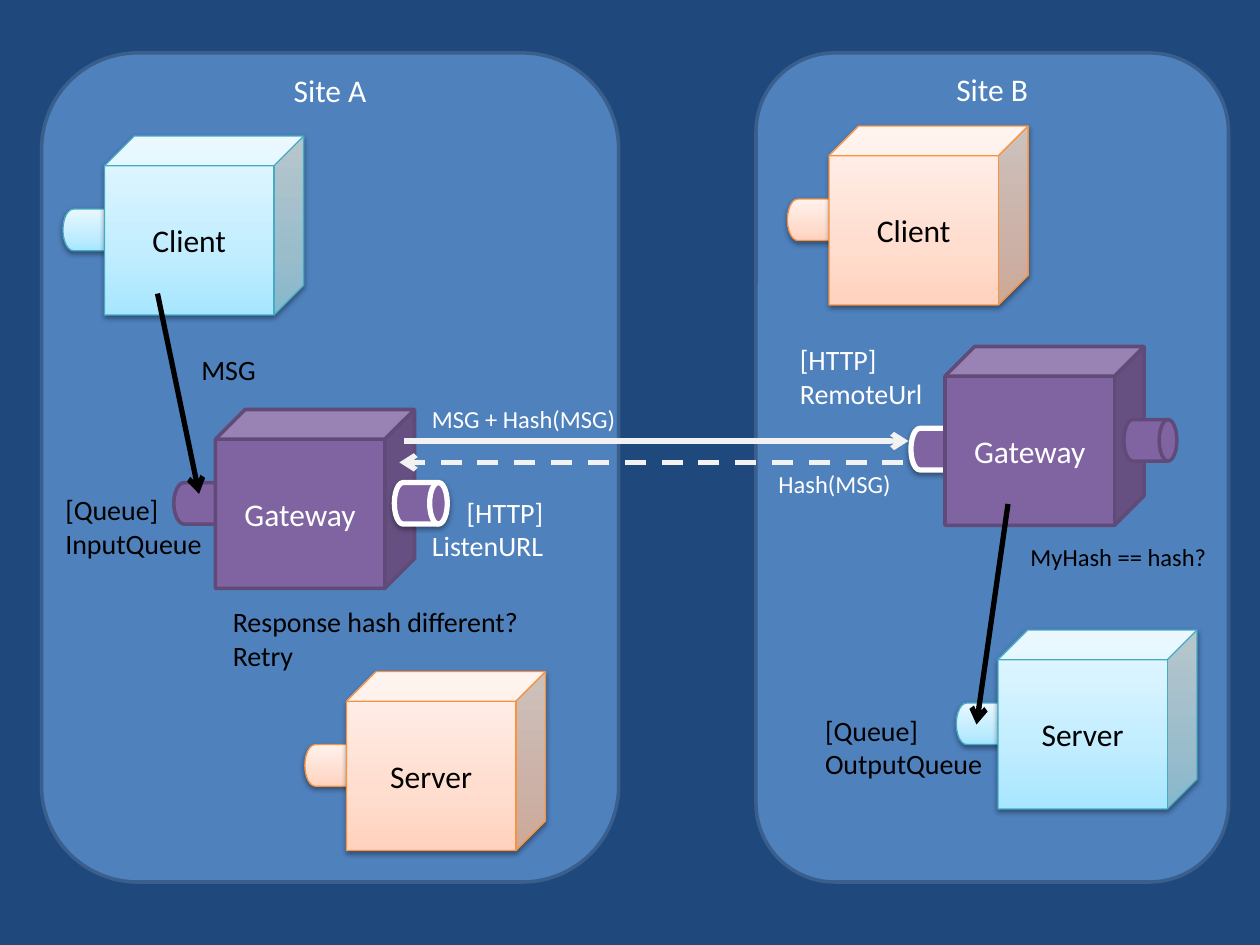
from lxml.etree import SubElement
from pptx import Presentation
from pptx.dml.color import RGBColor
from pptx.enum.dml import MSO_LINE
from pptx.enum.shapes import MSO_CONNECTOR, MSO_SHAPE
from pptx.enum.text import MSO_ANCHOR, MSO_AUTO_SIZE, PP_ALIGN
from pptx.oxml.ns import qn
from pptx.util import Inches, Pt

NAVY = RGBColor(0x1F, 0x49, 0x7D)
BLUE = RGBColor(0x4F, 0x81, 0xBD)
BLUE_EDGE = RGBColor(0x3A, 0x5F, 0x8C)
PURPLE = RGBColor(0x80, 0x64, 0xA2)
PURPLE_EDGE = RGBColor(0x5F, 0x4A, 0x78)
AQUA_EDGE = RGBColor(0x46, 0xAA, 0xC5)
ORANGE_EDGE = RGBColor(0xF6, 0x92, 0x40)
WHITE = RGBColor(0xFF, 0xFF, 0xFF)
PALE = RGBColor(0xF2, 0xF2, 0xF2)
BLACK = RGBColor(0, 0, 0)
AQUA_STOPS = [(0, "A7E6FF"), (35, "C1EDFF"), (100, "E7F8FF")]
PEACH_STOPS = [(0, "FFD2BD"), (35, "FFDED0"), (100, "FFF2ED")]

STYLES = {
    "gateway": (PURPLE, PURPLE_EDGE, 2, False, WHITE),
    "http": (PURPLE, WHITE, 3, True, WHITE),
    "aqua": (AQUA_STOPS, AQUA_EDGE, 0.75, True, BLACK),
    "peach": (PEACH_STOPS, ORANGE_EDGE, 0.75, True, BLACK),
}
SITE_TOP, SITE_HEIGHT, TITLE_TOP = 0.42, 6.58, 0.56
SITES = [("Site B", 6, 3.75), ("Site A", 0.33, 4.58)]
CUBE_WIDTH, CUBE_HEIGHT, DRUM_HEIGHT = 1.58, 1.42, 0.33
QUEUE = (-0.33, 0.58, 0.5)
RIGHT_PORT = (1.42, 0.58, 0.42)
LEFT_PORT = (-0.27, 0.65, 0.42)

NODES = [
    ("Gateway", 1.71, 3.25, "gateway", (QUEUE, "gateway"), (RIGHT_PORT, "http")),
    ("Gateway", 7.5, 2.75, "gateway", (LEFT_PORT, "http"), (RIGHT_PORT, "gateway")),
    ("Client", 0.83, 1.08, "aqua", (QUEUE, "aqua"), None),
    ("Server", 7.92, 5, "aqua", (QUEUE, "aqua"), None),
    ("Client", 6.58, 1, "peach", (QUEUE, "peach"), None),
    ("Server", 2.75, 5.33, "peach", (QUEUE, "peach"), None),
]
ARROWS = [
    ((1.25, 2.33), (1.58, 3.92), BLACK, False),
    ((3.21, 3.5), (7.21, 3.5), PALE, False),
    ((7.17, 3.67), (3.17, 3.67), PALE, True),
    ((8, 4), (7.75, 5.75), BLACK, False),
]
LEFT, RIGHT = PP_ALIGN.LEFT, PP_ALIGN.RIGHT
LABELS = [
    (["[HTTP]", "RemoteUrl"], 6.25, 2.67, 1.19, 16, WHITE, LEFT),
    (["[Queue]", "InputQueue"], 0.42, 3.86, 1.3, 16, BLACK, LEFT),
    (["[HTTP]", "ListenURL"], 3.31, 3.88, 1.1, 16, WHITE, RIGHT),
    (["MSG"], 1.5, 2.75, 0.64, 16, BLACK, LEFT),
    (["MSG + Hash(MSG)"], 3.33, 3.16, 1.67, 14, WHITE, LEFT),
    (["Hash(MSG)"], 6.08, 3.67, 1.1, 14, WHITE, LEFT),
    (["MyHash == hash?"], 8.08, 4.25, 1.61, 14, BLACK, LEFT),
    (["Response hash different?", "Retry"], 1.75, 4.75, 2.5, 16, BLACK, LEFT),
    (["[Queue]", "OutputQueue"], 6.45, 5.61, 1.46, 16, BLACK, LEFT),
]


def write(frame, lines, size, color, align):
    for index, line in enumerate(lines):
        para = frame.add_paragraph() if index else frame.paragraphs[0]
        para.alignment = align
        span = para.add_run()
        span.text = line
        span.font.name = "Calibri"
        span.font.size = Pt(size)
        span.font.color.rgb = color


def paint_gradient(shape, stops):
    shape.fill.gradient()
    shape.fill.gradient_angle = 90
    stop_list = shape._element.spPr.find(qn("a:gradFill")).find(qn("a:gsLst"))
    for old_stop in list(stop_list):
        stop_list.remove(old_stop)
    for position, color in stops:
        stop = SubElement(stop_list, qn("a:gs"), pos=str(position * 1000))
        SubElement(stop, qn("a:srgbClr"), val=color)


def add_shadow(shape):
    effects = shape._element.spPr.find(qn("a:effectLst"))
    shadow = SubElement(effects, qn("a:outerShdw"), blurRad=str(Pt(3.1)),
                        dist=str(Pt(1.6)), dir="5400000", rotWithShape="0")
    color = SubElement(shadow, qn("a:srgbClr"), val="000000")
    SubElement(color, qn("a:alpha"), val="38000")


def add_box(kind, left, top, width, height, fill, edge, weight, shadowed=False):
    box = page.shapes.add_shape(kind, Inches(left), Inches(top), Inches(width), Inches(height))
    box.shadow.inherit = False
    if isinstance(fill, list):
        paint_gradient(box, fill)
    else:
        box.fill.solid()
        box.fill.fore_color.rgb = fill
    box.line.color.rgb = edge
    box.line.width = Pt(weight)
    if shadowed:
        add_shadow(box)
    return box


def add_drum(node_left, node_top, port):
    (across, down, width), style = port
    add_box(MSO_SHAPE.FLOWCHART_DIRECT_ACCESS_STORAGE, node_left + across,
            node_top + down, width, DRUM_HEIGHT, *STYLES[style][:4])


deck = Presentation()
deck.slide_width, deck.slide_height = Inches(10), Inches(7.5)
page = deck.slides.add_slide(deck.slide_layouts[6])
page.background.fill.solid()
page.background.fill.fore_color.rgb = NAVY

for title, left, width in SITES:
    site = add_box(MSO_SHAPE.ROUNDED_RECTANGLE, left, SITE_TOP, width, SITE_HEIGHT,
                   BLUE, BLUE_EDGE, 2)
    corner_inset = width / 6 * 0.293
    site.text_frame.vertical_anchor = MSO_ANCHOR.TOP
    site.text_frame.margin_top = Inches(TITLE_TOP - SITE_TOP - corner_inset)
    write(site.text_frame, [title], 18, WHITE, PP_ALIGN.CENTER)

for name, left, top, style, back_port, front_port in NODES:
    add_drum(left, top, back_port)
    cube = add_box(MSO_SHAPE.CUBE, left, top, CUBE_WIDTH, CUBE_HEIGHT, *STYLES[style][:4])
    cube.adjustments[0] = 0.166
    cube.text_frame.vertical_anchor = MSO_ANCHOR.MIDDLE
    write(cube.text_frame, [name], 18, STYLES[style][4], PP_ALIGN.CENTER)
    if front_port:
        add_drum(left, top, front_port)

for start, end, color, dashed in ARROWS:
    arrow = page.shapes.add_connector(MSO_CONNECTOR.STRAIGHT, *map(Inches, start + end))
    arrow.line.color.rgb = color
    arrow.line.width = Pt(3)
    if dashed:
        arrow.line.dash_style = MSO_LINE.DASH
    SubElement(arrow.line._get_or_add_ln(), qn("a:tailEnd"), type="arrow")
    SubElement(arrow._element.spPr, qn("a:effectLst"))

for lines, left, top, width, size, color, align in LABELS:
    height = 0.1 + len(lines) * size / 60
    label = page.shapes.add_textbox(Inches(left), Inches(top), Inches(width), Inches(height))
    label.text_frame.word_wrap = False
    label.text_frame.auto_size = MSO_AUTO_SIZE.SHAPE_TO_FIT_TEXT
    write(label.text_frame, lines, size, color, align)

deck.save("out.pptx")
